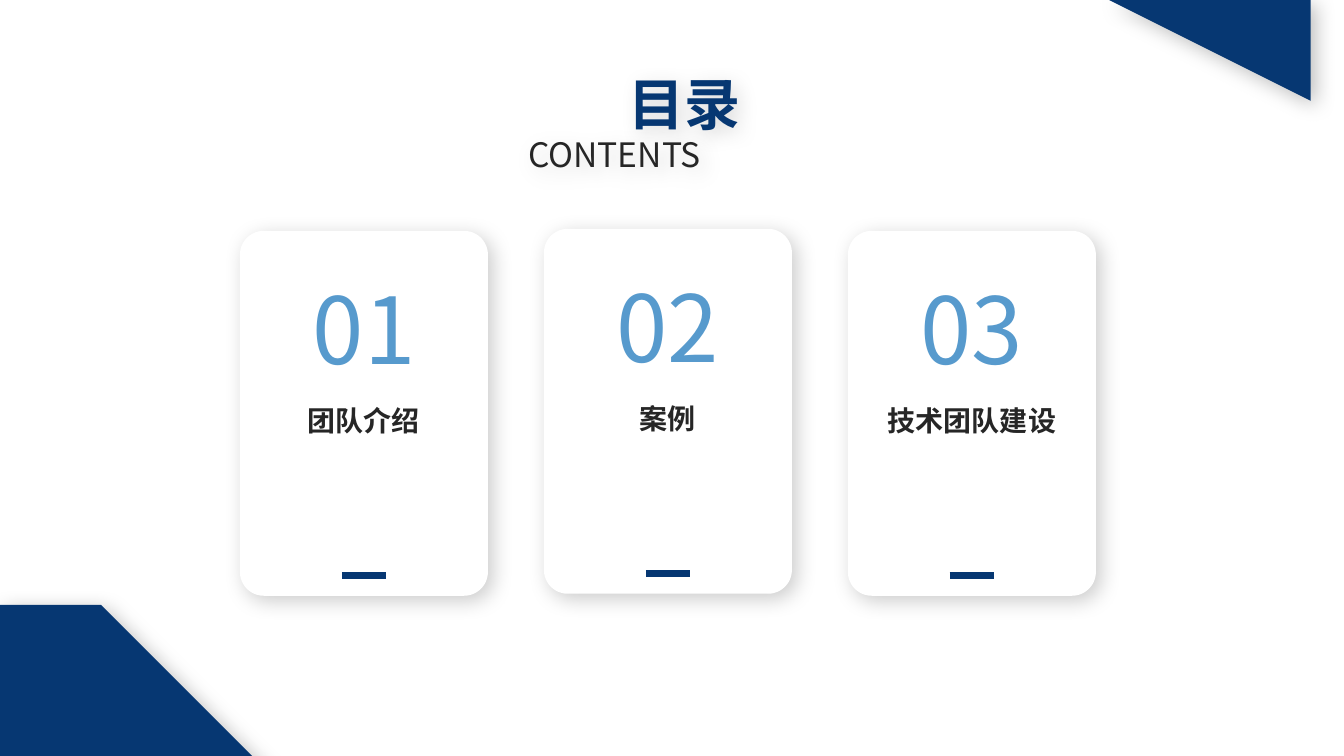
from lxml import etree
from pptx import Presentation
from pptx.dml.color import RGBColor
from pptx.enum.shapes import MSO_CONNECTOR as LINE, MSO_SHAPE as SHAPE
from pptx.enum.text import MSO_ANCHOR, MSO_AUTO_SIZE as AUTO, PP_ALIGN as ALIGN
from pptx.oxml import parse_xml
from pptx.oxml.ns import nsdecls, qn
from pptx.util import Inches, Pt

FONT = "Noto Sans CJK SC"
NAVY, BLUE, DARK, WHITE = "063772", "579ACD", "262626", "FFFFFF"
rgb = RGBColor.from_string


def put_text(s, text, size, color, bold=False, align=ALIGN.CENTER, spacing=None, wrap=True):
    tf = s.text_frame
    tf.word_wrap, tf.auto_size = wrap, AUTO.SHAPE_TO_FIT_TEXT
    tf.vertical_anchor = MSO_ANCHOR.TOP
    p = tf.paragraphs[0]
    p.alignment, p.line_spacing = align, spacing
    r = p.add_run()
    r.text = text
    r.font.name, r.font.size, r.font.bold = FONT, Pt(size), bold
    r.font.color.rgb = rgb(color)
    etree.SubElement(r.font._element, qn("a:ea"), typeface=FONT)


def add_shadow(s, alpha):
    """Give a shape a soft black shadow towards the lower right; alpha in percent."""
    s._element.spPr.append(parse_xml(
        f'<a:effectLst {nsdecls("a")}><a:outerShdw blurRad="{Pt(15)}" dist="{Pt(5)}" '
        f'dir="2700000" algn="tl" rotWithShape="0"><a:srgbClr val="000000">'
        f'<a:alpha val="{alpha * 1000}"/></a:srgbClr></a:outerShdw></a:effectLst>'))


prs = Presentation()
prs.slide_width, prs.slide_height = Inches(13.33), Inches(7.5)
slide = prs.slides.add_slide(prs.slide_layouts[5])

# Corner shapes: the lower left one is the upper right one turned by half a turn
start = (13.38, 0.81)
curves = [
    [start, (13.36, 0.85), (13.36, 0.85), (13.36, 0.85)],
    [(13.36, 0.85), (13.24, 1), (13.06, 1.08), (12.88, 1.09)],
    [(12.88, 1.09), (12.85, 1.09), (12.83, 1.09), (12.8, 1.08)],
    [(12.8, 1.08), (12.72, 1.08), (12.63, 1.05), (12.55, 1.01)],
]
STEPS = 12
outline = [start]
for curve in curves:
    for k in range(1, STEPS + 1):
        t = k / STEPS
        weights = ((1 - t) ** 3, 3 * t * (1 - t) ** 2, 3 * t * t * (1 - t), t ** 3)
        outline.append(tuple(sum(w * pt[axis] for w, pt in zip(weights, curve))
                             for axis in (0, 1)))
outline += [(10.64, -0.01), (13.38, -0.01)]
turned = [(13.38 - x, 7.49 - y) for x, y in outline]
for points in (outline, turned):
    builder = slide.shapes.build_freeform(*points[0], scale=Inches(1))
    builder.add_line_segments(points[1:], close=True)
    corner = builder.convert_to_shape()
    corner.fill.solid()
    corner.fill.fore_color.rgb = rgb(NAVY)
    corner.line.fill.background()
    add_shadow(corner, 25)

# Heading
title = slide.shapes.title
title.left, title.top, title.width, title.height = map(Inches, (5.14, 0.64, 3.29, 0.77))
put_text(title, "目录", 40, NAVY, bold=True)
subtitle = slide.shapes.add_textbox(*map(Inches, (5.14, 1.28, 3.29, 0.5)))
put_text(subtitle, "CONTENTS", 24, DARK, align=ALIGN.JUSTIFY)
for s in (title, subtitle):
    add_shadow(s, 15)

# Cards
CARD_W, CARD_H, PITCH = 2.46, 3.62, 3.015
NUMBER_W, DASH_W = 2.09, 0.44
cards = [("团队介绍", 2.29), ("案例", 2.27), ("技术团队建设", 2.29)]
for i, (label, top) in enumerate(cards):
    left = 2.38 + i * PITCH
    middle = left + CARD_W / 2
    shapes = slide.shapes.add_group_shape().shapes

    card = shapes.add_shape(SHAPE.ROUNDED_RECTANGLE,
                            *map(Inches, (left, top, CARD_W, CARD_H)))
    card.adjustments[0] = 0.096
    card.fill.solid()
    card.fill.fore_color.rgb = rgb(WHITE)
    card.line.fill.background()
    add_shadow(card, 20)

    label_w = 0.2 + len(label) * 20 / 72
    box = shapes.add_textbox(*map(Inches, (middle - label_w / 2, top + 1.56, label_w, 0.54)))
    put_text(box, label, 20, DARK, bold=True, spacing=1.3, wrap=False)

    box = shapes.add_textbox(*map(Inches, (middle - NUMBER_W / 2, top + 0.36, NUMBER_W, 1.21)))
    put_text(box, f"{i + 1:02}", 66, BLUE)

    dash_y = top + 3.42
    dash = shapes.add_connector(LINE.STRAIGHT, *map(Inches, (
        middle - DASH_W / 2, dash_y, middle + DASH_W / 2, dash_y)))
    dash.line.color.rgb, dash.line.width = rgb(NAVY), Pt(4.5)
    etree.SubElement(dash._element.spPr, qn("a:effectLst"))

prs.save("out.pptx")
